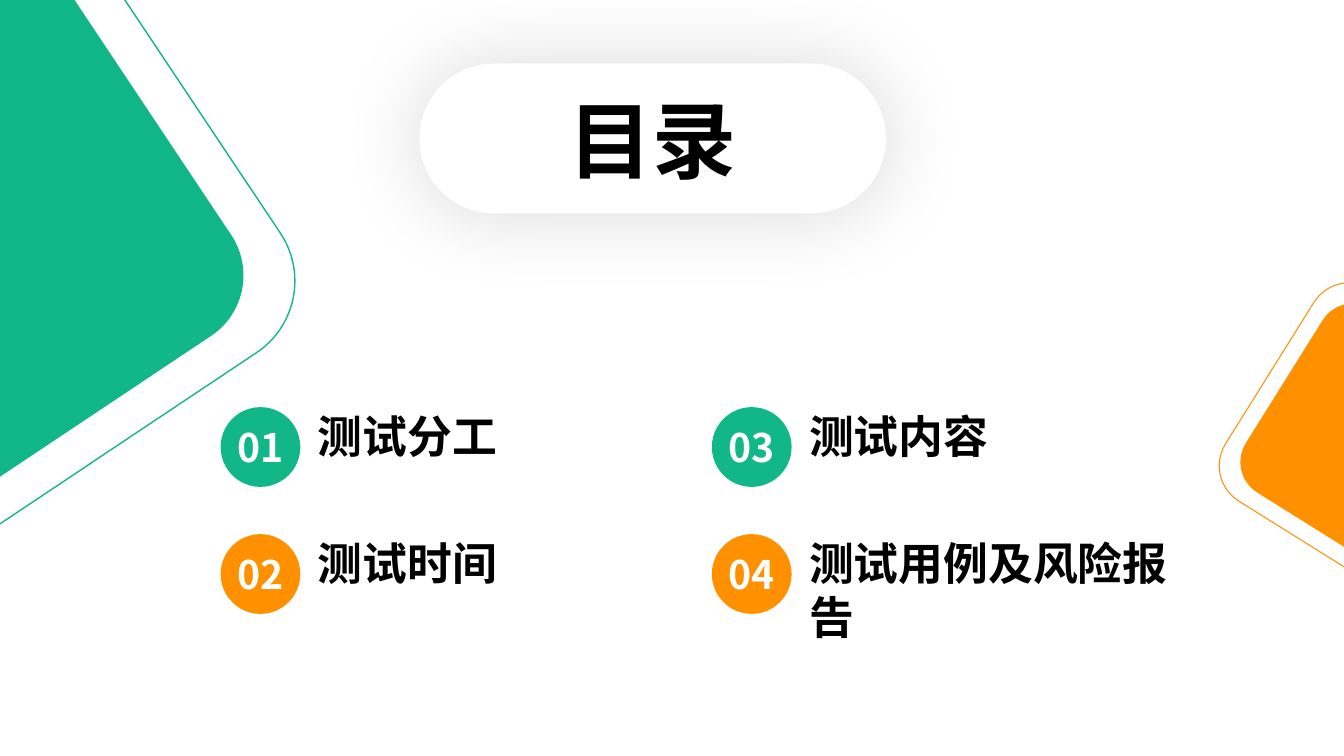
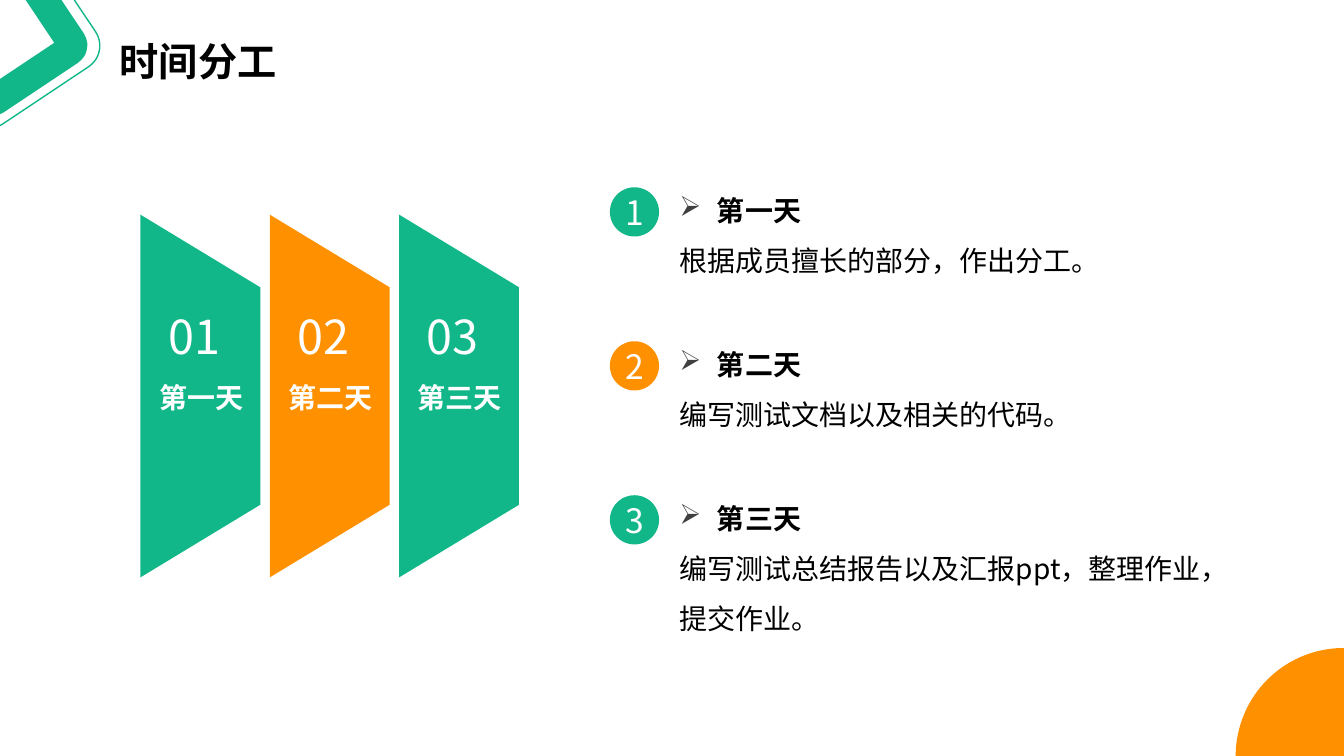
from lxml.etree import SubElement
from pptx import Presentation
from pptx.dml.color import RGBColor
from pptx.enum.shapes import MSO_SHAPE as Shape
from pptx.enum.text import PP_ALIGN as Align
from pptx.oxml.ns import qn
from pptx.util import Cm, Pt

FONT = "Noto Sans CJK SC"
COLORS = {name: RGBColor.from_string(value) for name, value in {
    "green": "12B789",
    "orange": "FF9101",
    "white": "FFFFFF",
    "black": "000000",
}.items()}
TILT_LEFT, TILT_RIGHT = 326.3, 32


def add_block(slide, kind, box, fill=None, line=None, weight=1, tilt=0):
    """Add a preset shape; box is left, top, width, height in centimetres."""
    block = slide.shapes.add_shape(kind, *map(Cm, box))
    block.shadow.inherit = False
    block.rotation = tilt
    if fill:
        block.fill.solid()
        block.fill.fore_color.rgb = COLORS[fill]
    else:
        block.fill.background()
    if line:
        block.line.color.rgb = COLORS[line]
        block.line.width = Pt(weight)
    else:
        block.line.fill.background()
    return block


def write(holder, text, size, color="black", bold=False, align=Align.LEFT):
    """Fill a shape or text box with text in the deck's font; return its paragraphs."""
    frame = holder.text_frame
    frame.word_wrap = True
    frame.text = text
    for paragraph in frame.paragraphs:
        paragraph.alignment = align
        for run in paragraph.runs:
            run.font.size = Pt(size)
            run.font.bold = bold
            run.font.name = FONT
            run.font.color.rgb = COLORS[color]
            SubElement(run.font._element, qn("a:ea"), typeface=FONT)
    return frame.paragraphs


deck = Presentation()
deck.slide_width, deck.slide_height = Cm(33.87), Cm(19.05)
blank = deck.slide_layouts[6]

# Contents
contents = deck.slides.add_slide(blank)

heading = add_block(contents, Shape.ROUNDED_RECTANGLE, (10.57, 1.6, 11.76, 3.78), "white")
heading.adjustments[0] = 0.5
write(heading, "目录", 60, bold=True, align=Align.CENTER)
glow = SubElement(heading._element.spPr.find(qn("a:effectLst")), qn("a:outerShdw"),
                  blurRad=str(Pt(60)), dist="0", dir="0", algn="ctr", rotWithShape="0")
glow_color = SubElement(glow, qn("a:srgbClr"), val=str(COLORS["black"]))
SubElement(glow_color, qn("a:alpha"), val="15000")

chapters = ["测试分工", "测试时间", "测试内容", "测试用例及风险报告"]
for index, chapter in enumerate(chapters):
    column, row = divmod(index, 2)
    left, top = 5.56 + column * 12.38, 10.26 + row * 3.2
    badge = add_block(contents, Shape.OVAL, (left, top, 2.01, 2.01), ["green", "orange"][row])
    badge.text_frame.margin_left = badge.text_frame.margin_right = 0
    write(badge, f"{index + 1:02}", 28, "white", True, Align.CENTER)
    label = contents.shapes.add_textbox(Cm(left + 2.2), Cm(top - 0.09), Cm(9.9), Cm(1.63))
    write(label, chapter, 32, bold=True)

for box, fill, line, weight, tilt in [
    ((-7.7, -0.51, 13.49, 13.03), "white", "green", 1, TILT_LEFT),
    ((-6.63, 0.53, 11.38, 11), "green", None, 0, TILT_LEFT),
    ((31.95, 8.33, 5.44, 5.46), "orange", None, 0, TILT_RIGHT),
    ((31.52, 7.92, 6.3, 6.3), None, "orange", 0.75, TILT_RIGHT),
]:
    add_block(contents, Shape.ROUNDED_RECTANGLE, box, fill, line, weight, tilt)

# Schedule
schedule = deck.slides.add_slide(blank)

add_block(schedule, Shape.OVAL, (31.14, 16.33, 5.44, 5.46), "orange")
title = schedule.shapes.add_textbox(Cm(2.77), Cm(0.81), Cm(6.65), Cm(1.45))
write(title, "时间分工", 28, bold=True)

days = [
    ("第一天", "根据成员擅长的部分，作出分工。", "green", 3.1),
    ("第二天", "编写测试文档以及相关的代码。", "orange", 3.1),
    ("第三天", "编写测试总结报告以及汇报ppt，整理作业，提交作业。", "green", 4.1),
]
panel_top, panel_bottom, panel_width, slant = 5.41, 14.55, 3.02, 1.83
for index, (day, task, color, task_height) in enumerate(days):
    left = 3.54 + index * 3.26
    right = left + panel_width
    outline = schedule.shapes.build_freeform(Cm(left), Cm(panel_bottom))
    outline.add_line_segments([
        (Cm(left), Cm(panel_top)),
        (Cm(right), Cm(panel_top + slant)),
        (Cm(right), Cm(panel_bottom - slant)),
    ])
    panel = outline.convert_to_shape()
    panel.shadow.inherit = False
    panel.fill.solid()
    panel.fill.fore_color.rgb = COLORS[color]
    panel.line.fill.background()

    number = schedule.shapes.add_textbox(Cm(left + 0.45), Cm(7.62), Cm(2.2), Cm(1.68))
    write(number, f"{index + 1:02}", 33.4, "white")
    day_label = schedule.shapes.add_textbox(Cm(left + 0.17), Cm(9.47), Cm(2.72), Cm(1.12))
    write(day_label, day, 20, "white", True, Align.CENTER)

    top = 4.32 + index * 3.88
    badge = add_block(schedule, Shape.OVAL, (15.37, top + 0.4, 1.24, 1.24), color)
    badge.text_frame.margin_left = badge.text_frame.margin_right = 0
    write(badge, str(index + 1), 24, "white", align=Align.CENTER)

    note = schedule.shapes.add_textbox(Cm(16.87), Cm(top), Cm(14.4), Cm(task_height))
    day_line, task_line = write(note, f"{day}\n{task}", 20)
    day_line.line_spacing = task_line.line_spacing = 1.5
    day_line.runs[0].font.bold = True
    bullet = day_line._p.get_or_add_pPr()
    bullet.set("marL", str(Cm(0.95)))
    bullet.set("indent", str(Cm(-0.95)))
    SubElement(SubElement(bullet, qn("a:buClr")), qn("a:srgbClr"), val="404040")
    SubElement(bullet, qn("a:buChar"), char="➢")

add_block(schedule, Shape.ROUNDED_RECTANGLE, (-1.83, -1.09, 3.86, 3.81),
          line="green", tilt=TILT_LEFT)
corner = add_block(schedule, Shape.ROUNDED_RECTANGLE, (-1.17, -0.43, 2.57, 2.54),
                   line="green", weight=21.25, tilt=TILT_LEFT)
corner.adjustments[0] = 0.06

deck.save("out.pptx")
